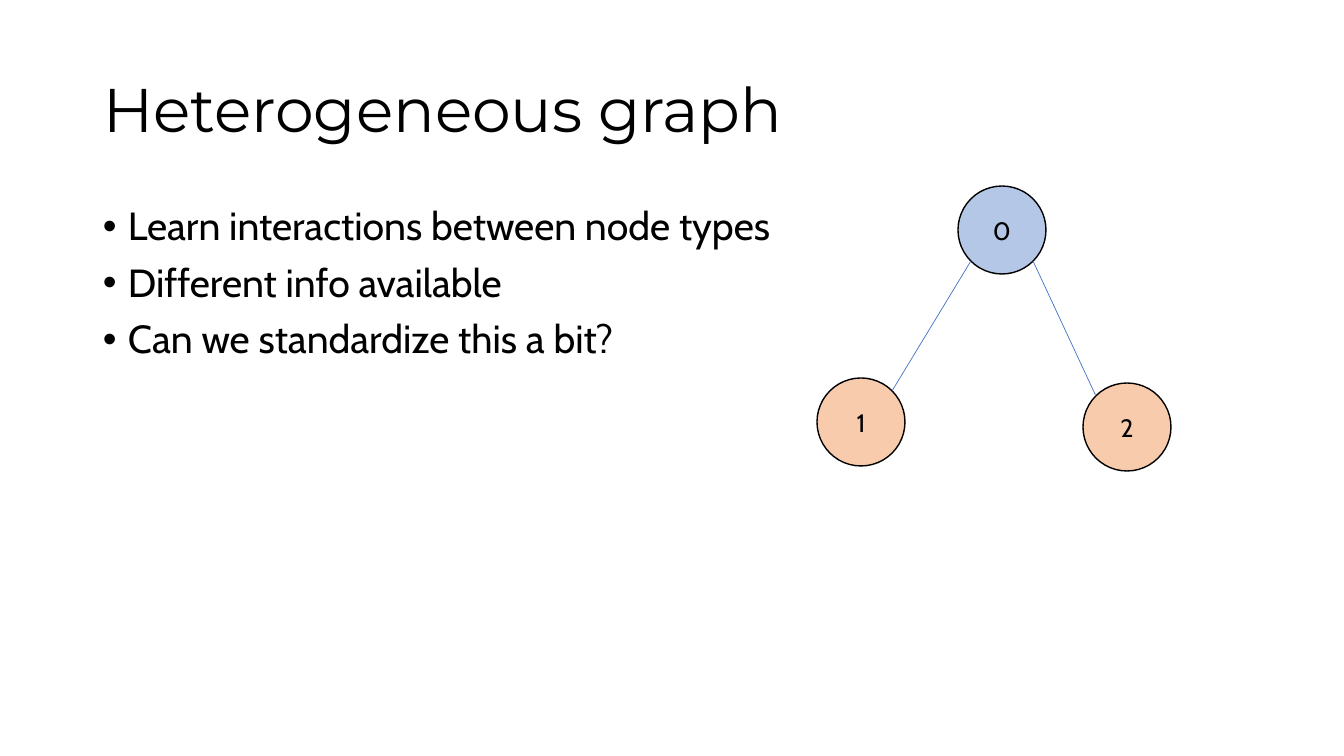
from math import sqrt

from lxml.etree import SubElement
from pptx import Presentation
from pptx.dml.color import RGBColor
from pptx.enum.shapes import MSO_CONNECTOR as Connector, MSO_SHAPE as Preset
from pptx.enum.text import MSO_ANCHOR as Anchor, MSO_AUTO_SIZE as AutoSize, PP_ALIGN as Align
from pptx.oxml.ns import qn
from pptx.util import Pt

EMU_PER_PIXEL = 12192000 / 1344
SLIDE_SIZE = (1344, 756)
TITLE_LAYOUT = 5
NODE_SIZE = 88
BULLET_INDENT = 25

BLACK = RGBColor(0x00, 0x00, 0x00)
BLUE_NODE = RGBColor(0xB4, 0xC7, 0xE7)
ORANGE_NODE = RGBColor(0xF8, 0xCB, 0xAD)
EDGE_BLUE = RGBColor(0x44, 0x72, 0xC4)

TITLE = "Heterogeneous graph"
BULLETS = [
    "Learn interactions between node types",
    "Different info available",
    "Can we standardize this a bit?",
]
# label: (left, top, fill)
NODES = {
    "0": (958, 186, BLUE_NODE),
    "1": (817, 378, ORANGE_NODE),
    "2": (1083, 383, ORANGE_NODE),
}
EDGES = [("0", "1"), ("0", "2")]


def px(*lengths):
    """Turn pixel lengths into a list of EMU."""
    return [round(length * EMU_PER_PIXEL) for length in lengths]


def add_run(paragraph, text, size, font_name):
    """Add one black run to a paragraph."""
    run = paragraph.add_run()
    run.text = text
    run.font.size = Pt(size)
    run.font.name = font_name
    run.font.color.rgb = BLACK


def set_title(slide, text, box):
    """Place and format the title placeholder."""
    title = slide.shapes.title
    title.left, title.top, title.width, title.height = px(*box)
    frame = title.text_frame
    frame.auto_size = AutoSize.NONE
    frame.vertical_anchor = Anchor.MIDDLE
    paragraph = frame.paragraphs[0]
    paragraph.alignment = Align.LEFT
    paragraph.line_spacing = 0.9
    add_run(paragraph, text, 44, "Montserrat")


def set_bullet(paragraph):
    """Give a paragraph a round bullet with a hanging indent."""
    indent, = px(BULLET_INDENT)
    properties = paragraph._p.get_or_add_pPr()
    properties.set("marL", str(indent))
    properties.set("indent", str(-indent))
    SubElement(properties, qn("a:buFont"), typeface="Arial")
    SubElement(properties, qn("a:buChar"), char="•")


def add_bullets(slide, texts, box):
    """Add a text box with one bulleted paragraph per text."""
    frame = slide.shapes.add_textbox(*px(*box)).text_frame
    frame.word_wrap = True
    for index, text in enumerate(texts):
        paragraph = frame.add_paragraph() if index else frame.paragraphs[0]
        paragraph.line_spacing = 0.9
        paragraph.space_before = Pt(10)
        set_bullet(paragraph)
        add_run(paragraph, text, 28, "Cabin")


def add_node(slide, label, left, top, fill):
    """Add a labelled graph node."""
    node = slide.shapes.add_shape(Preset.OVAL, *px(left, top, NODE_SIZE, NODE_SIZE))
    node.shadow.inherit = False
    node.fill.solid()
    node.fill.fore_color.rgb = fill
    node.line.color.rgb = BLACK
    node.line.width = Pt(1)
    node.text_frame.vertical_anchor = Anchor.MIDDLE
    paragraph = node.text_frame.paragraphs[0]
    paragraph.alignment = Align.CENTER
    add_run(paragraph, label, 18, "Cabin")


def add_edge(slide, parent, child):
    """Join the lower diagonal of a parent to the facing upper diagonal of a child."""
    parent_left, parent_top, _ = NODES[parent]
    child_left, child_top, _ = NODES[child]
    radius = NODE_SIZE / 2
    reach = radius / sqrt(2)
    side = reach if child_left > parent_left else -reach
    edge = slide.shapes.add_connector(
        Connector.STRAIGHT,
        *px(parent_left + radius + side, parent_top + radius + reach,
            child_left + radius - side, child_top + radius - reach))
    edge.line.color.rgb = EDGE_BLUE
    edge.line.width = Pt(0.5)
    SubElement(edge._element.spPr, qn("a:effectLst"))


def main():
    """Build the slide and save it."""
    presentation = Presentation()
    presentation.slide_width, presentation.slide_height = px(*SLIDE_SIZE)
    slide = presentation.slides.add_slide(presentation.slide_layouts[TITLE_LAYOUT])
    set_title(slide, TITLE, (93, 40, 1159, 146))
    add_bullets(slide, BULLETS, (93, 202, 1159, 480))
    for label, (left, top, fill) in NODES.items():
        add_node(slide, label, left, top, fill)
    for parent, child in EDGES:
        add_edge(slide, parent, child)
    presentation.save("out.pptx")


main()
